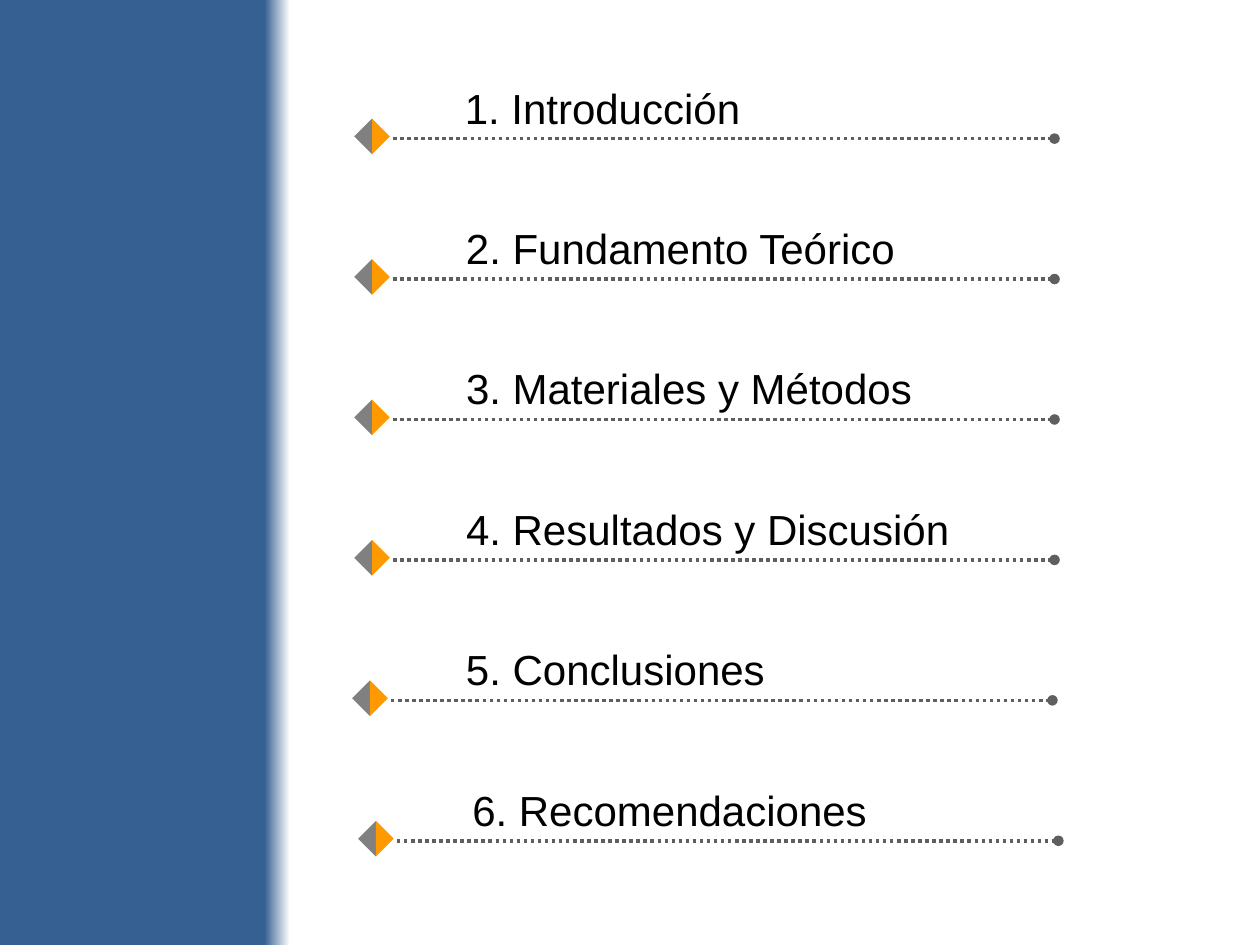
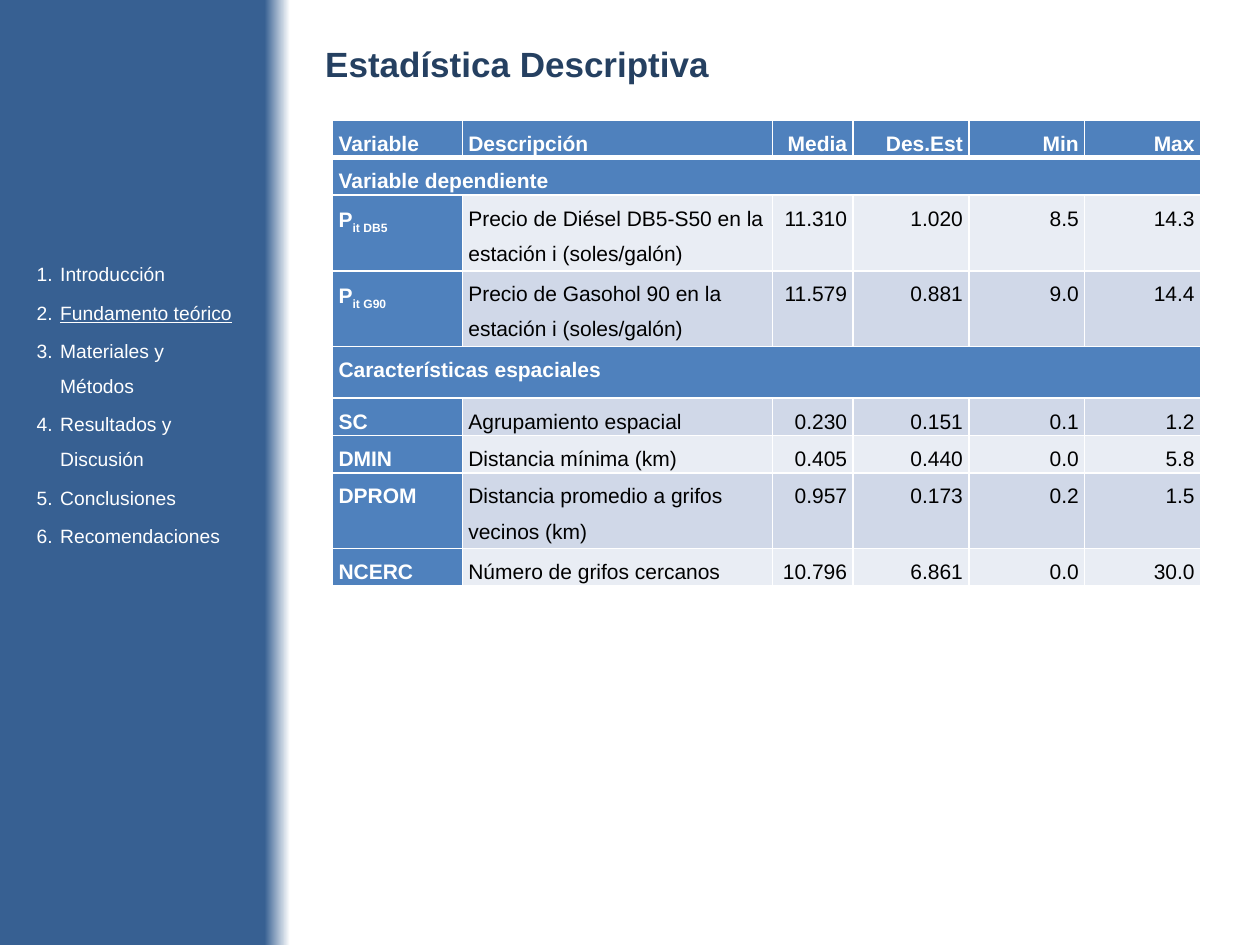
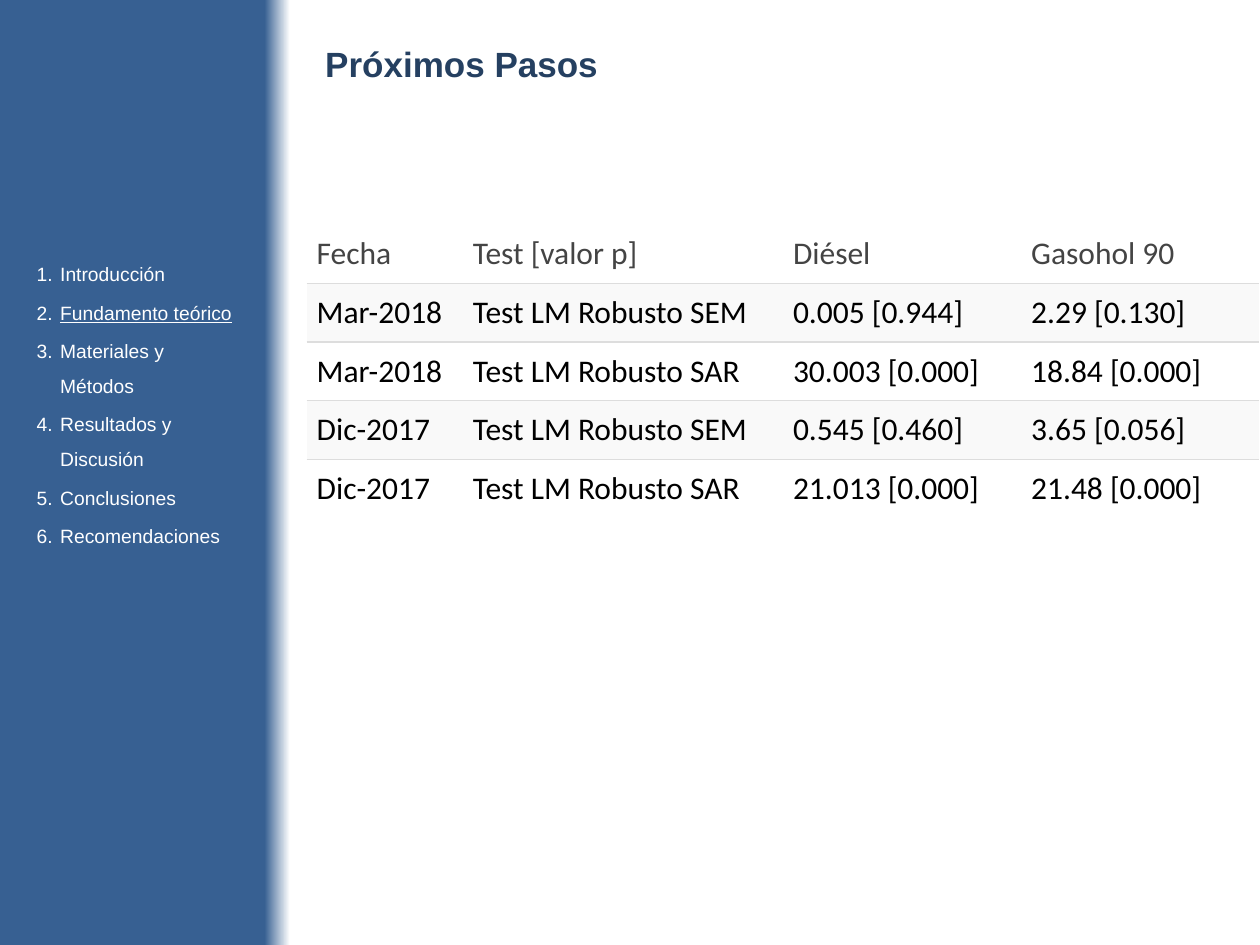
import pptx
import pptx.dml.color
import pptx.enum.dml
import pptx.enum.shapes
import pptx.enum.text
import pptx.oxml
import pptx.oxml.ns
import pptx.util

Pt = pptx.util.Pt
RGBColor = pptx.dml.color.RGBColor
SHAPE = pptx.enum.shapes.MSO_SHAPE
ALIGN = pptx.enum.text.PP_ALIGN
ANCHOR = pptx.enum.text.MSO_ANCHOR
AUTO_SIZE = pptx.enum.text.MSO_AUTO_SIZE

BAND_BLUE = RGBColor(0x37, 0x60, 0x92)
TITLE_NAVY = RGBColor(0x25, 0x40, 0x61)
HEADER_BLUE = RGBColor(0x4F, 0x81, 0xBD)
ROW_LIGHT = RGBColor(0xE9, 0xED, 0xF4)
ROW_DARK = RGBColor(0xD0, 0xD8, 0xE8)
STRIPE = RGBColor(0xF9, 0xF9, 0xF9)
RULE = RGBColor(0xDD, 0xDD, 0xDD)
HEADING_GREY = RGBColor(0x44, 0x44, 0x44)
LEADER_GREY = RGBColor(0x5F, 0x5F, 0x5F)
DIAMOND_GREY = RGBColor(0x80, 0x80, 0x80)
DIAMOND_ORANGE = RGBColor(0xFF, 0x99, 0x00)
WHITE = RGBColor(0xFF, 0xFF, 0xFF)
BLACK = RGBColor(0, 0, 0)

# Agenda: text, leader start, label left, label width
AGENDA = [
    ("1. Introducción", 224.6, 258.5, 173.5),
    ("2. Fundamento Teórico", 224.6, 259.2, 262.1),
    ("3. Materiales y Métodos", 224.6, 259.2, 272.2),
    ("4. Resultados y Discusión", 224.6, 259.2, 293.8),
    ("5. Conclusiones", 223.4, 259.2, 187.2),
    ("6. Recomendaciones", 226.8, 262.8, 242.6),
]
AGENDA_TOP, AGENDA_PITCH = 79.2, 80.25
LEADER_LENGTH = 378
DIAMOND_SIDE = 14.4

SECTIONS = ["Introducción", "Fundamento teórico", "Materiales y Métodos",
            "Resultados y Discusión", "Conclusiones", "Recomendaciones"]
CURRENT_SECTION = "Fundamento teórico"

# One-cell rows are section headings; a pair is a symbol with its subscript
STATISTICS = [
    ["Variable", "Descripción", "Media", "Des.Est", "Min", "Max"],
    ["Variable dependiente"],
    [("P", "it DB5"), "Precio de Diésel DB5-S50 en la estación i (soles/galón)",
     "11.310", "1.020", "8.5", "14.3"],
    [("P", "it G90"), "Precio de Gasohol 90 en la estación i (soles/galón)",
     "11.579", "0.881", "9.0", "14.4"],
    ["Características espaciales"],
    ["SC", "Agrupamiento espacial", "0.230", "0.151", "0.1", "1.2"],
    ["DMIN", "Distancia mínima (km)", "0.405", "0.440", "0.0", "5.8"],
    ["DPROM", "Distancia promedio a grifos vecinos (km)",
     "0.957", "0.173", "0.2", "1.5"],
    ["NCERC", "Número de grifos cercanos", "10.796", "6.861", "0.0", "30.0"],
]
STATISTICS_WIDTHS = [74.2, 177.1, 46.1, 66.2, 66.2, 66.2]
ONE_LINE, TWO_LINES, SPACED = 21.4, 43.2, 29.6
STATISTICS_HEIGHTS = [ONE_LINE, ONE_LINE, TWO_LINES, TWO_LINES, SPACED,
                      ONE_LINE, ONE_LINE, TWO_LINES, ONE_LINE]

TESTS = [
    ["Fecha", "Test [valor p]", "Diésel", "Gasohol 90"],
    ["Mar-2018", "Test LM Robusto SEM", "0.005 [0.944]", "2.29 [0.130]"],
    ["Mar-2018", "Test LM Robusto SAR", "30.003 [0.000]", "18.84 [0.000]"],
    ["Dic-2017", "Test LM Robusto SEM", "0.545 [0.460]", "3.65 [0.056]"],
    ["Dic-2017", "Test LM Robusto SAR", "21.013 [0.000]", "21.48 [0.000]"],
]
TESTS_WIDTHS = [89.3, 182.9, 136.1, 136.1]
TESTS_HEIGHTS = [33.6] * len(TESTS)


def set_values(target, values):
    for name, value in values.items():
        setattr(target, name, value)


def place(shape, left, top, width, height):
    set_values(shape, {"left": Pt(left), "top": Pt(top),
                       "width": Pt(width), "height": Pt(height)})


def add_run(paragraph, text, size, color, bold=False, underline=None, name="Arial"):
    run = paragraph.add_run()
    run.text = text
    set_values(run.font, {"name": name, "size": Pt(size), "bold": bold,
                          "underline": underline})
    run.font.color.rgb = color
    return run


def add_xml(parent, tag, **attributes):
    child = pptx.oxml.parse_xml(f"<a:{tag} {pptx.oxml.ns.nsdecls('a')}/>")
    for name, value in attributes.items():
        child.set(name, value)
    parent.append(child)
    return child


def set_band(master):
    fill = master.background.fill
    fill.gradient()
    fill.gradient_angle = 0
    for stop, position, color in zip(fill.gradient_stops, (0.21, 0.23),
                                     (BAND_BLUE, WHITE)):
        stop.position = position
        stop.color.rgb = color


def add_leader(shapes, left, y):
    leader = shapes.add_connector(pptx.enum.shapes.MSO_CONNECTOR.STRAIGHT, Pt(left),
                                  Pt(y), Pt(left + LEADER_LENGTH), Pt(y))
    set_values(leader.line, {"width": Pt(2),
                             "dash_style": pptx.enum.dml.MSO_LINE.ROUND_DOT})
    leader.line.color.rgb = LEADER_GREY
    add_xml(leader.line._get_or_add_ln(), "tailEnd", type="oval")
    add_xml(leader._element.spPr, "effectLst")


def add_half_diamond(shapes, left, top, color, mirrored):
    half = shapes.add_shape(SHAPE.RIGHT_TRIANGLE, Pt(left), Pt(top),
                            Pt(DIAMOND_SIDE), Pt(DIAMOND_SIDE))
    half.rotation = 315 if mirrored else 45
    if mirrored:
        half._element.spPr.xfrm.set("flipH", "1")
    half.shadow.inherit = False
    half.fill.solid()
    half.fill.fore_color.rgb = color
    half.line.fill.background()


def build_agenda(slide):
    for index, (text, leader_left, label_left, label_width) in enumerate(AGENDA):
        y = AGENDA_TOP + index * AGENDA_PITCH
        shapes = slide.shapes.add_group_shape().shapes
        add_leader(shapes, leader_left, y)
        for color, mirrored in ((DIAMOND_GREY, False), (DIAMOND_ORANGE, True)):
            add_half_diamond(shapes, leader_left - 19.2, y - 8.4, color, mirrored)
        label = shapes.add_textbox(Pt(label_left), Pt(y - 35.8), Pt(label_width), Pt(36.4))
        set_values(label.text_frame, {"word_wrap": False,
                                      "auto_size": AUTO_SIZE.SHAPE_TO_FIT_TEXT})
        add_run(label.text_frame.paragraphs[0], text, 24, BLACK)


def add_content_slide(deck, title_text, title_height):
    """Add a slide with its title and the section list in the blue band."""
    slide = deck.slides.add_slide(deck.slide_layouts[1])
    title, sections = slide.placeholders
    place(sections, 13.7, 139.7, 131, 369.4)
    place(title, 178.6, 20.9, 430.6, title_height)
    for shape in (title, sections):
        set_values(shape.text_frame, {"word_wrap": True, "auto_size": AUTO_SIZE.NONE,
                                      "vertical_anchor": ANCHOR.TOP})
    heading = title.text_frame.paragraphs[0]
    heading.alignment = ALIGN.LEFT
    add_run(heading, title_text, 20, TITLE_NAVY, bold=True)

    frame = sections.text_frame
    for index, section in enumerate(SECTIONS):
        item = frame.add_paragraph() if index else frame.paragraphs[0]
        item.line_spacing = 1.5
        properties = item._p.get_or_add_pPr()
        properties.set("marL", str(Pt(13.5)))
        properties.set("indent", str(-Pt(13.5)))
        add_xml(properties, "buAutoNum", type="arabicPeriod")
        add_run(item, section, 11, WHITE, underline=section == CURRENT_SECTION)
    return slide


def add_grid(slide, left, top, widths, heights):
    table = slide.shapes.add_table(len(heights), len(widths), Pt(left), Pt(top),
                                   Pt(sum(widths)), Pt(sum(heights))).table
    for column, width in zip(table.columns, widths):
        column.width = Pt(width)
    for row, height in zip(table.rows, heights):
        row.height = Pt(height)
    return table


def format_cell(cell, fill, borders, margins, anchor=ANCHOR.TOP):
    """Borders map the sides L, R, T and B to (color, width); other sides have none."""
    horizontal, vertical = (Pt(margin) for margin in margins)
    set_values(cell, {"margin_left": horizontal, "margin_right": horizontal,
                      "margin_top": vertical, "margin_bottom": vertical,
                      "vertical_anchor": anchor})
    properties = cell._tc.get_or_add_tcPr()
    for side in "LRTB":
        color, width = borders.get(side, (None, 0))
        edge = add_xml(properties, f"ln{side}", w=str(Pt(width)))
        if color is None:
            add_xml(edge, "noFill")
        else:
            add_xml(add_xml(edge, "solidFill"), "srgbClr", val=str(color))
    if fill is None:
        cell.fill.background()
    else:
        cell.fill.solid()
        cell.fill.fore_color.rgb = fill


def build_statistics(slide):
    table = add_grid(slide, 190.1, 68.8, STATISTICS_WIDTHS, STATISTICS_HEIGHTS)
    for r, values in enumerate(STATISTICS):
        borders = {side: (WHITE, 1) for side in "LRTB"}
        if r < 2:
            borders["T" if r else "B"] = (WHITE, 3)
        for c in range(len(STATISTICS_WIDTHS)):
            heading = r == 0 or c == 0 or len(values) == 1
            band = ROW_DARK if r % 2 else ROW_LIGHT
            format_cell(table.cell(r, c), HEADER_BLUE if heading else band,
                        borders, (3.4, 0))
        if len(values) == 1:
            table.cell(r, 0).merge(table.cell(r, len(STATISTICS_WIDTHS) - 1))
        for c, value in enumerate(values):
            heading = r == 0 or c == 0
            color = WHITE if heading else BLACK
            paragraph = table.cell(r, c).text_frame.paragraphs[0]
            set_values(paragraph, {"line_spacing": 1.5,
                                   "alignment": ALIGN.RIGHT if c > 1 else ALIGN.LEFT})
            symbol, subscript = value if isinstance(value, tuple) else (value, None)
            add_run(paragraph, symbol, 12, color, bold=heading)
            if subscript:
                run = add_run(paragraph, subscript, 12, color, bold=heading)
                run._r.get_or_add_rPr().set("baseline", "-25000")


def build_tests(slide):
    table = add_grid(slide, 175.2, 128.2, TESTS_WIDTHS, TESTS_HEIGHTS)
    last = len(TESTS) - 1
    for r, values in enumerate(TESTS):
        borders = {}
        if r > 0:
            borders["T"] = (RULE, 0.75)
        if r < last:
            borders["B"] = (RULE, 0.75)
        for c, value in enumerate(values):
            cell = table.cell(r, c)
            format_cell(cell, STRIPE if r % 2 else None, borders, (5.8, 5.8),
                        ANCHOR.TOP if r else ANCHOR.BOTTOM)
            add_run(cell.text_frame.paragraphs[0], value, 18,
                    BLACK if r else HEADING_GREY, name="Calibri")


def main():
    deck = pptx.Presentation()
    set_values(deck, {"slide_width": Pt(720), "slide_height": Pt(540)})
    set_band(deck.slide_master)
    build_agenda(deck.slides.add_slide(deck.slide_layouts[6]))
    build_statistics(add_content_slide(deck, "Estadística Descriptiva", 55.4))
    build_tests(add_content_slide(deck, "Próximos Pasos", 31.7))
    deck.save("out.pptx")


if __name__ == "__main__":
    main()
